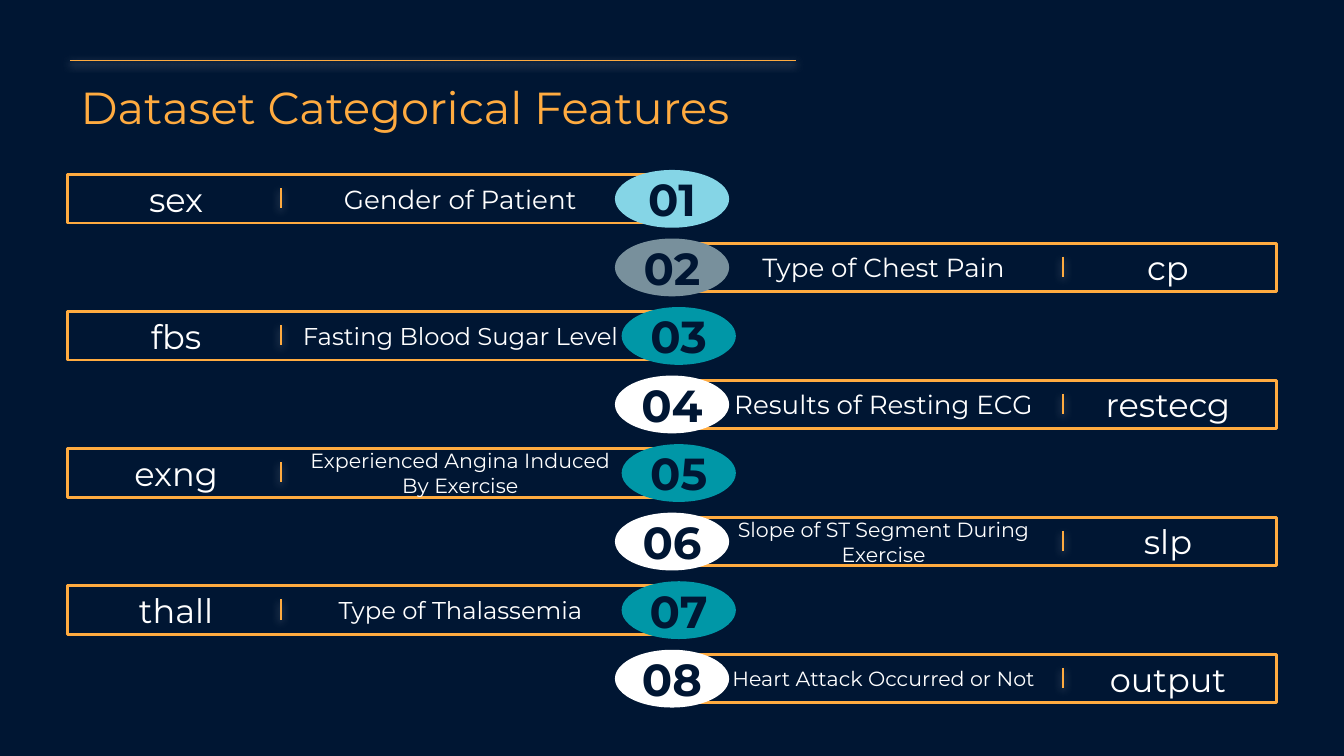
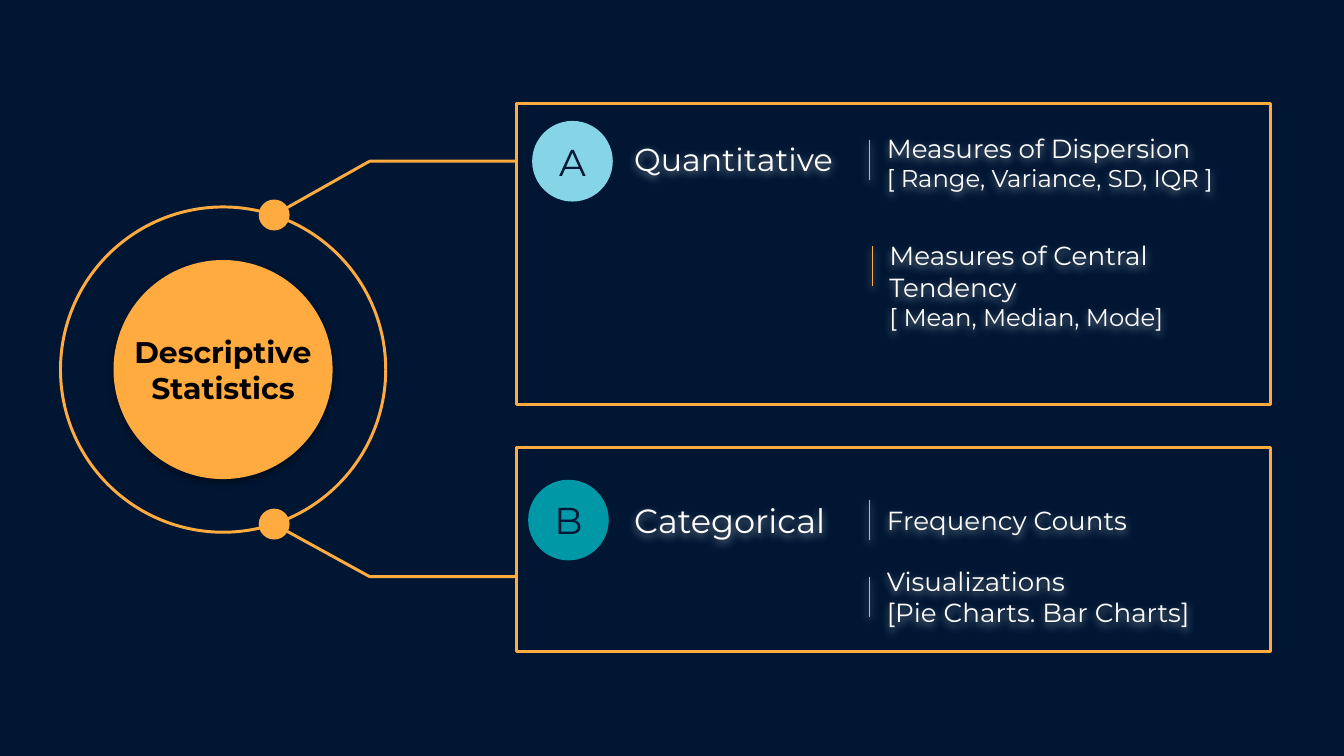
import pptx
import pptx.dml.color
import pptx.enum.shapes
import pptx.enum.text
import pptx.oxml
import pptx.oxml.ns
import pptx.util

Inches = pptx.util.Inches
Shapes = pptx.enum.shapes.MSO_SHAPE
Align = pptx.enum.text.PP_ALIGN
Anchor = pptx.enum.text.MSO_ANCHOR
AutoSize = pptx.enum.text.MSO_AUTO_SIZE

FONT = "Montserrat"
NAVY, ORANGE, WHITE, BLACK = "001633", "FFAB40", "FFFFFF", "000000"
SKY, TEAL, GREY = "85D5E6", "0097A7", "78909C"

FEATURES = [
    ("sex", "Gender of Patient", 14, SKY),
    ("cp", "Type of Chest Pain", 14, GREY),
    ("fbs", "Fasting Blood Sugar Level", 13, TEAL),
    ("restecg", "Results of Resting ECG", 14, WHITE),
    ("exng", "Experienced Angina Induced By Exercise", 11, TEAL),
    ("slp", "Slope of ST Segment During Exercise", 11, WHITE),
    ("thall", "Type of Thalassemia", 13, TEAL),
    ("output", "Heart Attack Occurred or Not", 11, WHITE),
]


def rgb(color):
    return pptx.dml.color.RGBColor.from_string(color)


def write(tf, *lines, size=14, color=WHITE, bold=False, align=Align.CENTER,
          anchor=Anchor.MIDDLE, inset=0.1, wrap=True):
    tf.word_wrap = wrap
    tf.vertical_anchor = anchor
    tf.margin_left = tf.margin_right = Inches(inset)
    tf.margin_top = tf.margin_bottom = Inches(inset)
    for i, line in enumerate(lines):
        text, line_size = line if isinstance(line, tuple) else (line, size)
        p = tf.add_paragraph() if i else tf.paragraphs[0]
        p.alignment = align
        for j, part in enumerate(text.split("\n")):
            if j:
                p.add_line_break()
            r = p.add_run()
            r.text = part
            r.font.name = FONT
            r.font.size = pptx.util.Pt(line_size)
            r.font.bold = bold
            r.font.color.rgb = rgb(color)


def set_shadow(sp, color=None):
    shadow = ""
    if color:
        shadow = (
            '<a:outerShdw blurRad="57150" dist="19050" dir="5400000" algn="bl" '
            f'rotWithShape="0"><a:srgbClr val="{color}"><a:alpha val="50000"/>'
            "</a:srgbClr></a:outerShdw>"
        )
    ns = pptx.oxml.ns.nsdecls("a")
    effects = pptx.oxml.parse_xml(f"<a:effectLst {ns}>{shadow}</a:effectLst>")
    sp._element.spPr.append(effects)


class Deck:
    def __init__(self):
        self.prs = pptx.Presentation()
        self.prs.slide_width = Inches(10)
        self.prs.slide_height = Inches(10) * 9 // 16
        fill = self.prs.slide_master.background.fill
        fill.solid()
        fill.fore_color.rgb = rgb(NAVY)
        self.slide = None

    def add_slide(self, title=None):
        layout = self.prs.slide_layouts[5 if title else 6]
        self.slide = self.prs.slides.add_slide(layout)
        if title:
            sp = self.slide.shapes.title
            sp.left, sp.top = Inches(0.5), Inches(0.49)
            sp.width, sp.height = Inches(8.75), Inches(0.52)
            sp.text_frame.auto_size = AutoSize.NONE
            write(sp.text_frame, title, size=24, color=ORANGE,
                  align=Align.LEFT, anchor=Anchor.TOP)

    def style(self, sp, fill=None, width=None, shadow=None):
        if fill:
            sp.fill.solid()
            sp.fill.fore_color.rgb = rgb(fill)
        else:
            sp.fill.background()
        if width:
            sp.line.color.rgb = rgb(ORANGE)
            sp.line.width = pptx.util.Pt(width)
        else:
            sp.line.fill.background()
        set_shadow(sp, shadow)

    def shape(self, kind, x, y, w, h, **look):
        sp = self.slide.shapes.add_shape(
            kind, Inches(x), Inches(y), Inches(w), Inches(h))
        self.style(sp, **look)
        return sp

    def frame(self, x, y, w, h, width):
        self.shape(Shapes.RECTANGLE, x, y, w, h, width=width)

    def oval(self, cx, cy, w, h, *lines, fill=None, width=None, shadow=None, **fmt):
        sp = self.shape(Shapes.OVAL, cx - w / 2, cy - h / 2, w, h,
                        fill=fill, width=width, shadow=shadow)
        if lines:
            write(sp.text_frame, *lines, inset=0, wrap=False, **fmt)

    def text(self, x, y, w, h, *lines, shadow=None, grow=False, **fmt):
        sp = self.slide.shapes.add_textbox(
            Inches(x), Inches(y), Inches(w), Inches(h))
        write(sp.text_frame, *lines, **fmt)
        if grow:
            sp.text_frame.auto_size = AutoSize.SHAPE_TO_FIT_TEXT
        if shadow:
            set_shadow(sp, shadow)

    def rule(self, x1, y1, x2, y2):
        sp = self.slide.shapes.add_connector(
            pptx.enum.shapes.MSO_CONNECTOR.STRAIGHT,
            Inches(x1), Inches(y1), Inches(x2), Inches(y2))
        sp.line.color.rgb = rgb(ORANGE)
        sp.line.width = pptx.util.Pt(0.75)
        set_shadow(sp, WHITE)

    def polyline(self, *points):
        start, *rest = [(Inches(x), Inches(y)) for x, y in points]
        builder = self.slide.shapes.build_freeform(*start)
        builder.add_line_segments(rest, close=False)
        self.style(builder.convert_to_shape(), width=1.6)


def features_slide(deck):
    deck.add_slide("Dataset Categorical Features")
    deck.rule(0.52, 0.45, 5.92, 0.45)
    for i, (name, meaning, size, color) in enumerate(FEATURES):
        y = 1.3 + 0.51 * i
        if i % 2 == 0:
            frame_x, name_x, meaning_x, rule_x = 0.5, 0.5, 2.12, 2.09
        else:
            frame_x, name_x, meaning_x, rule_x = 5, 7.88, 5.27, 7.91
        badge_x = 5.05 if color == TEAL else 5
        deck.frame(frame_x, y, 4.5, 0.36, 1.5)
        deck.oval(badge_x, y + 0.18, 0.85, 0.43, f"{i + 1:02}",
                  fill=color, size=24, color=NAVY, bold=True)
        deck.text(name_x, y + 0.03, 1.62, 0.3, name, size=18)
        deck.text(meaning_x, y + 0.03, 2.61, 0.3, meaning, size=size)
        deck.rule(rule_x, y + 0.1, rule_x, y + 0.25)


def statistics_slide(deck):
    deck.add_slide()
    hub_x, hub_y = 1.66, 2.75
    deck.oval(hub_x, hub_y, 2.42, 2.42, width=1.6)
    branches = [
        ("B", TEAL, 3.33, 1.52, 4.23, 3.87, 3.9, 4.29),
        ("A", SKY, 0.77, 2.24, 4.26, 1.2, 1.6, 1.2),
    ]
    for letter, color, top, height, badge_x, badge_y, dot_y, end_y in branches:
        deck.frame(3.84, top, 5.61, height, 1.6)
        deck.oval(badge_x, badge_y, 0.6, 0.6, letter, fill=color, size=20, color=NAVY)
        deck.oval(2.04, dot_y, 0.23, 0.23, fill=ORANGE)
        deck.polyline((3.84, end_y), (2.75, end_y), (2.04, dot_y))
    deck.oval(hub_x, hub_y, 1.63, 1.63, "Descriptive\nStatistics",
              fill=ORANGE, shadow=BLACK, size=16, color=BLACK, bold=True)

    soft = {"align": Align.LEFT, "shadow": WHITE}
    deck.text(4.62, 0.88, 1.89, 0.6, "Quantitative", size=17, **soft)
    deck.text(4.62, 3.57, 1.89, 0.6, "Categorical", size=18, **soft)
    details = [
        (6.5, 0.88, 2.69, 0.66, 1.04, True,
         ["Measures of Dispersion", ("[ Range, Variance, SD, IQR ]", 13)]),
        (6.52, 1.68, 3.03, 0.89, 1.83, True,
         ["Measures of Central Tendency", ("[ Mean, Median, Mode]", 13)]),
        (6.5, 3.57, 2.61, 0.6, 3.72, False, ["Frequency Counts"]),
        (6.5, 4.14, 2.61, 0.6, 4.29, False,
         ["Visualizations", "[Pie Charts. Bar Charts]"]),
    ]
    for x, y, w, h, rule_y, grow, lines in details:
        deck.text(x, y, w, h, *lines, grow=grow, **soft)
        deck.rule(x - 0.03, rule_y, x - 0.03, rule_y + 0.3)


def main():
    deck = Deck()
    features_slide(deck)
    statistics_slide(deck)
    deck.prs.save("out.pptx")


if __name__ == "__main__":
    main()
